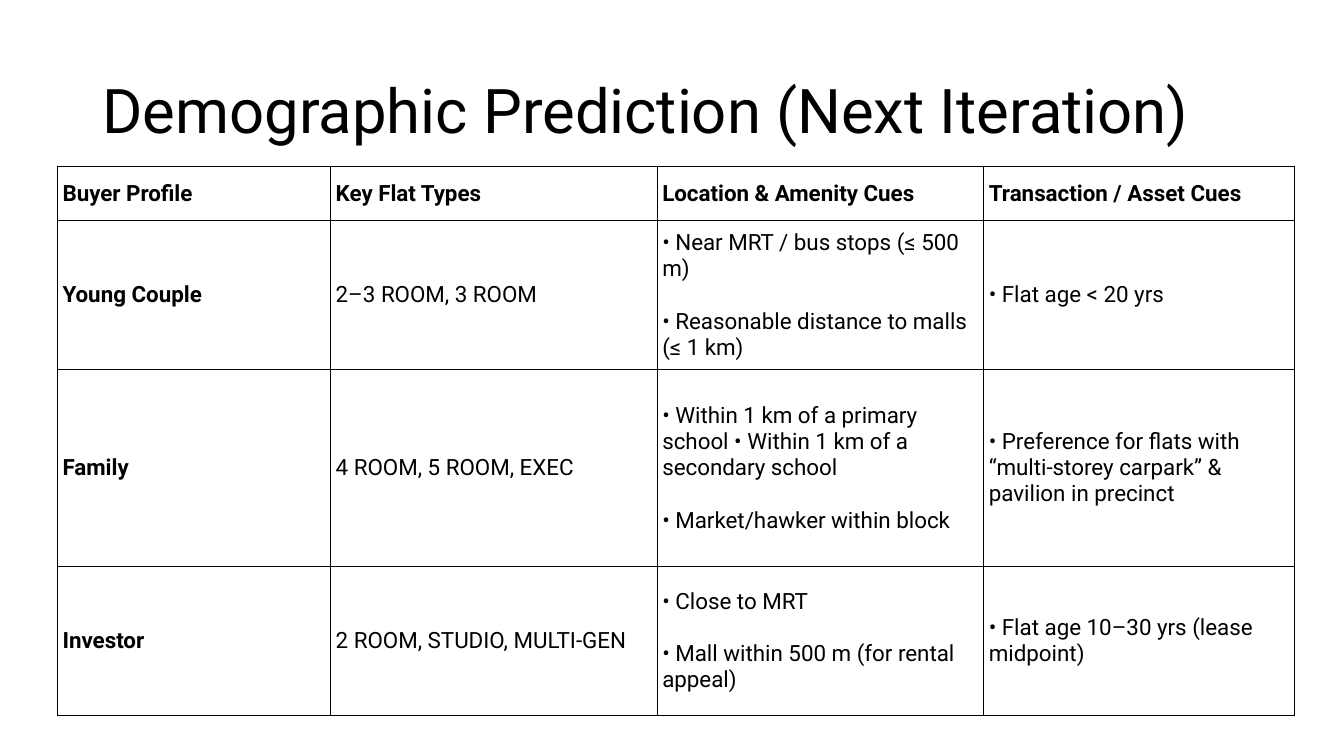
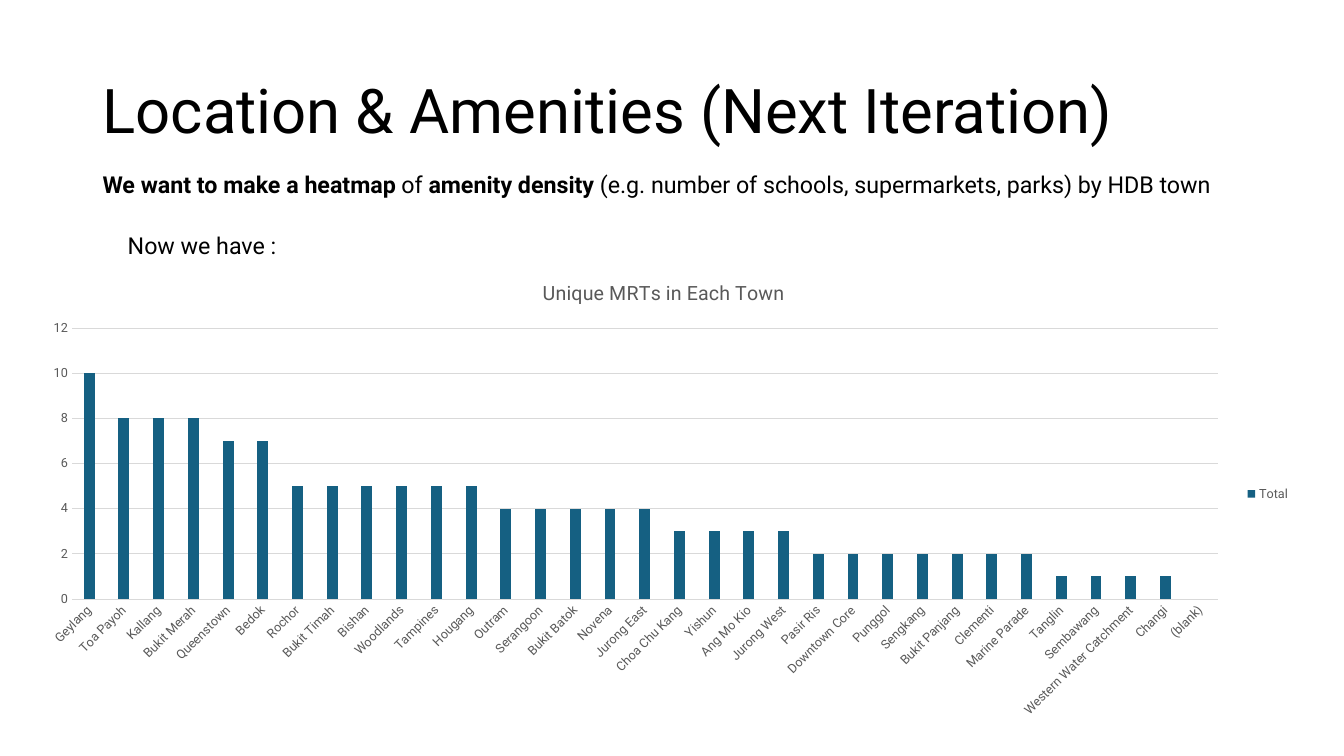
from dataclasses import dataclass

from lxml.etree import SubElement
from pptx import Presentation
from pptx.chart.data import CategoryChartData
from pptx.dml.color import RGBColor
from pptx.enum.chart import XL_CHART_TYPE as ChartType, XL_LEGEND_POSITION as LegendPosition
from pptx.enum.chart import XL_TICK_MARK as TickMark
from pptx.enum.text import MSO_ANCHOR as Anchor, MSO_AUTO_SIZE as AutoSize, PP_ALIGN as Align
from pptx.oxml import parse_xml
from pptx.oxml.ns import nsdecls, qn
from pptx.util import Inches, Pt

WIDTH, HEIGHT = Inches(13.333), Inches(7.5)
FONT = "Roboto"
INK, MUTED, GRID, BAR = "000000", "595959", "D9D9D9", "156082"
TABLE_SIZE, BODY_SIZE, TITLE_SIZE = 16, 16.6, 44
BLANK_LINE = 18.75


@dataclass(frozen=True)
class Area:
    """Position and size in percent of the slide."""
    left: float
    top: float
    width: float
    height: float

    def emu(self) -> tuple[int, int, int, int]:
        return (round(WIDTH * self.left / 100), round(HEIGHT * self.top / 100),
                round(WIDTH * self.width / 100), round(HEIGHT * self.height / 100))


@dataclass(frozen=True)
class Phrase:
    text: str
    bold: bool = False


@dataclass(frozen=True)
class Profile:
    buyer: str
    flats: str
    location: tuple[str, ...]
    asset: str


TITLE_AREA = Area(6.88, 5.33, 86.25, 19.33)
PROFILE_AREA = Area(4.28, 22, 92.03, 72.67)
GOAL_AREA = Area(6.88, 21.6, 86.25, 14.27)
STATIONS_AREA = Area(2.03, 34.53, 94.73, 61.6)

PROFILE_COLUMNS = (271, 324, 324, 308)
PROFILE_ROWS = (54, 148, 195, 148)
PROFILE_HEADINGS = ("Buyer Profile", "Key Flat Types", "Location & Amenity Cues",
                    "Transaction / Asset Cues")
PROFILES = (
    Profile("Young Couple", "2–3 ROOM, 3 ROOM",
            ("• Near MRT / bus stops (≤ 500 m)", "• Reasonable distance to malls (≤ 1 km)"),
            "• Flat age < 20 yrs"),
    Profile("Family", "4 ROOM, 5 ROOM, EXEC",
            ("• Within 1 km of a primary school • Within 1 km of a secondary school",
             "• Market/hawker within block"),
            "• Preference for flats with “multi-storey carpark” & pavilion in precinct"),
    Profile("Investor", "2 ROOM, STUDIO, MULTI-GEN",
            ("• Close to MRT", "• Mall within 500 m (for rental appeal)"),
            "• Flat age 10–30 yrs (lease midpoint)"),
)

GOAL = (Phrase("We want to make a heatmap", True), Phrase(" of "),
        Phrase("amenity density", True),
        Phrase(" (e.g. number of schools, supermarkets, parks) by HDB town"))
LEAD_IN = (Phrase("Now we have :"),)

TOWNS_BY_STATIONS = {
    10: ("Geylang",),
    8: ("Toa Payoh", "Kallang", "Bukit Merah"),
    7: ("Queenstown", "Bedok"),
    5: ("Rochor", "Bukit Timah", "Bishan", "Woodlands", "Tampines", "Hougang"),
    4: ("Outram", "Serangoon", "Bukit Batok", "Novena", "Jurong East"),
    3: ("Choa Chu Kang", "Yishun", "Ang Mo Kio", "Jurong West"),
    2: ("Pasir Ris", "Downtown Core", "Punggol", "Sengkang", "Bukit Panjang", "Clementi",
        "Marine Parade"),
    1: ("Tanglin", "Sembawang", "Western Water Catchment", "Changi"),
    None: ("(blank)",),
}
PLOT_SHARES = {"x": 0.035, "y": 0.144, "w": 0.9, "h": 0.582}


def colour(target, hex_value: str) -> None:
    target.rgb = RGBColor.from_string(hex_value)


def style_font(font, size: float, hex_value: str = INK, bold: bool = False) -> None:
    font.name, font.size, font.bold = FONT, Pt(size), bold
    colour(font.color, hex_value)


def add_phrases(paragraph, phrases: tuple[Phrase, ...], size: float) -> None:
    for phrase in phrases:
        run = paragraph.add_run()
        run.text = phrase.text
        style_font(run.font, size, bold=phrase.bold)


def place(holder, area: Area):
    holder.left, holder.top, holder.width, holder.height = area.emu()
    frame = holder.text_frame
    frame.word_wrap, frame.auto_size = True, AutoSize.NONE
    return frame


def add_titled_slide(deck, layout_index: int, title: str):
    slide = deck.slides.add_slide(deck.slide_layouts[layout_index])
    frame = place(slide.shapes.title, TITLE_AREA)
    frame.vertical_anchor = Anchor.MIDDLE
    heading = frame.paragraphs[0]
    heading.alignment, heading.line_spacing = Align.LEFT, 0.9
    add_phrases(heading, (Phrase(title),), TITLE_SIZE)
    return slide


def fill_cell(cell, lines: tuple[str, ...], bold: bool) -> None:
    cell.fill.background()
    cell.vertical_anchor = Anchor.MIDDLE
    cell.margin_left = cell.margin_right = Inches(0.05)
    cell.margin_top = cell.margin_bottom = Inches(0.02)
    properties = cell._tc.get_or_add_tcPr()
    for index, side in enumerate("LRTB"):
        properties.insert(index, parse_xml(
            f'<a:ln{side} {nsdecls("a")} w="{Pt(1)}"><a:solidFill>'
            f'<a:srgbClr val="{INK}"/></a:solidFill></a:ln{side}>'))
    frame = cell.text_frame
    for index, line in enumerate(lines):
        paragraph = frame.add_paragraph() if index else frame.paragraphs[0]
        if index:
            paragraph.space_before = Pt(BLANK_LINE)
        add_phrases(paragraph, (Phrase(line, bold),), TABLE_SIZE)


def add_profile_table(slide) -> None:
    left, top, width, height = PROFILE_AREA.emu()
    table = slide.shapes.add_table(len(PROFILE_ROWS), len(PROFILE_COLUMNS),
                                   left, top, width, height).table
    table.first_row = table.horz_banding = False
    for column, share in zip(table.columns, PROFILE_COLUMNS):
        column.width = round(width * share / sum(PROFILE_COLUMNS))
    for row, share in zip(table.rows, PROFILE_ROWS):
        row.height = round(height * share / sum(PROFILE_ROWS))
    entries = [tuple((heading,) for heading in PROFILE_HEADINGS)]
    entries += [((p.buyer,), (p.flats,), p.location, (p.asset,)) for p in PROFILES]
    for row_index, entry in enumerate(entries):
        for column_index, lines in enumerate(entry):
            fill_cell(table.cell(row_index, column_index), lines,
                      row_index == 0 or column_index == 0)


def add_goal(slide) -> None:
    frame = place(slide.placeholders[1], GOAL_AREA)
    frame.vertical_anchor = Anchor.TOP
    for index, phrases in enumerate((GOAL, LEAD_IN)):
        paragraph = frame.add_paragraph() if index else frame.paragraphs[0]
        properties = paragraph._p.get_or_add_pPr()
        properties.set("marL", str(Inches(0.25)))
        properties.set("indent", str(0 if index else -Inches(0.25)))
        SubElement(properties, qn("a:buNone"))
        paragraph.line_spacing = 1.07
        paragraph.space_before = Pt(22 if index else 0)
        paragraph.space_after = Pt(0)
        add_phrases(paragraph, phrases, BODY_SIZE)


def fix_plot_area(chart) -> None:
    plot_area = chart._chartSpace.chart.plotArea
    for layout in plot_area.findall(qn("c:layout")):
        plot_area.remove(layout)
    shares = "".join(f'<c:{key} val="{share}"/>' for key, share in PLOT_SHARES.items())
    plot_area.insert(0, parse_xml(
        f'<c:layout {nsdecls("c")}><c:manualLayout><c:layoutTarget val="inner"/>'
        f'<c:xMode val="edge"/><c:yMode val="edge"/>{shares}</c:manualLayout></c:layout>'))


def add_stations_chart(slide) -> None:
    data = CategoryChartData()
    data.categories = [town for towns in TOWNS_BY_STATIONS.values() for town in towns]
    data.add_series("Total", [count for count, towns in TOWNS_BY_STATIONS.items()
                              for _ in towns])
    chart = slide.shapes.add_chart(ChartType.COLUMN_CLUSTERED, *STATIONS_AREA.emu(), data).chart
    style_font(chart.font, 10)
    chart.has_title = True
    caption = chart.chart_title.text_frame.paragraphs[0].add_run()
    caption.text = "Unique MRTs in Each Town"
    style_font(caption.font, 14, MUTED)
    chart.chart_title.include_in_layout = False
    chart.has_legend = True
    chart.legend.position = LegendPosition.RIGHT
    chart.legend.include_in_layout = False
    style_font(chart.legend.font, 9, MUTED)

    towns, counts = chart.category_axis, chart.value_axis
    for axis in (towns, counts):
        axis.major_tick_mark = axis.minor_tick_mark = TickMark.NONE
        style_font(axis.tick_labels.font, 9, MUTED)
    towns._element.find(qn("c:txPr")).find(qn("a:bodyPr")).set("rot", "-2700000")
    counts.minimum_scale, counts.maximum_scale, counts.major_unit = 0, 12, 2
    counts.has_major_gridlines = True
    counts.format.line.fill.background()
    for line in (towns.format.line, counts.major_gridlines.format.line):
        line.width = Pt(0.75)
        line.fill.solid()
        colour(line.fill.fore_color, GRID)

    plot = chart.plots[0]
    plot.gap_width, plot.overlap, plot.vary_by_categories = 219, -27, False
    total = plot.series[0]
    total.invert_if_negative = False
    total.format.fill.solid()
    colour(total.format.fill.fore_color, BAR)
    fix_plot_area(chart)


def main() -> None:
    deck = Presentation()
    deck.slide_width, deck.slide_height = WIDTH, HEIGHT
    add_profile_table(add_titled_slide(deck, 5, "Demographic Prediction (Next Iteration)"))
    amenities = add_titled_slide(deck, 1, "Location & Amenities (Next Iteration)")
    add_goal(amenities)
    add_stations_chart(amenities)
    deck.save("out.pptx")


if __name__ == "__main__":
    main()
